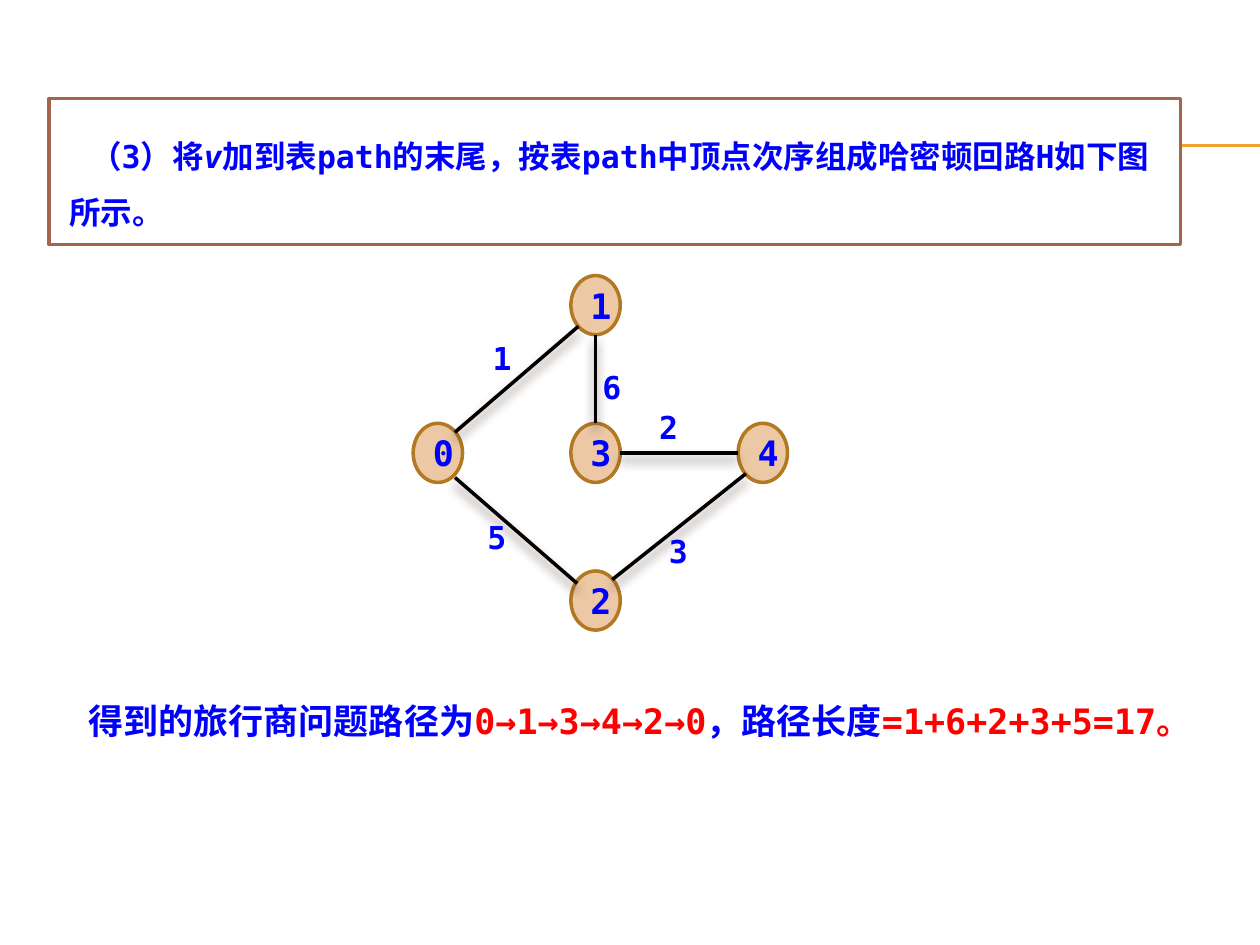
from lxml.etree import SubElement
from pptx import Presentation
from pptx.dml.color import RGBColor
from pptx.enum.shapes import MSO_CONNECTOR, MSO_SHAPE
from pptx.enum.text import MSO_ANCHOR, MSO_AUTO_SIZE, PP_ALIGN
from pptx.oxml.ns import qn
from pptx.util import Pt

BLUE, RED = "0000FF", "FF0000"


def add_run(para, text, size, color=BLUE, italic=False):
    span = para.add_run()
    span.text = text
    font = span.font
    font.name, font.size, font.bold, font.italic = "DejaVu Sans Mono", Pt(size), True, italic
    font.color.rgb = RGBColor.from_string(color)


def add_line(start, end, color, width):
    line = slide.shapes.add_connector(
        MSO_CONNECTOR.STRAIGHT, Pt(start[0]), Pt(start[1]), Pt(end[0]), Pt(end[1]))
    line.line.color.rgb = RGBColor.from_string(color)
    line.line.width = Pt(width)
    return SubElement(line._element.spPr, qn("a:effectLst"))


deck = Presentation()
deck.slide_width, deck.slide_height = Pt(720), Pt(540)
slide = deck.slides.add_slide(deck.slide_layouts[6])

# Rule behind the statement box
for y in (82.8, 83.5):
    add_line((40.3, y), (720, y), "F0A22E", 0.75)

# Statement box
statement = slide.shapes.add_shape(MSO_SHAPE.RECTANGLE, Pt(28), Pt(56.2), Pt(646.6), Pt(83.5))
statement.shadow.inherit = False
statement.fill.solid()
statement.fill.fore_color.rgb = RGBColor.from_string("FFFFFF")
statement.line.color.rgb = RGBColor.from_string("A5644E")
statement.line.width = Pt(2)
frame = statement.text_frame
frame.word_wrap = True
frame.auto_size = MSO_AUTO_SIZE.SHAPE_TO_FIT_TEXT
frame.vertical_anchor = MSO_ANCHOR.TOP
frame.margin_left = frame.margin_top = frame.margin_bottom = Pt(11.5)
frame.margin_right = Pt(14.4)
para = frame.paragraphs[0]
para.alignment = PP_ALIGN.LEFT
para.line_spacing = Pt(32)
para._p.get_or_add_pPr().set("indent", str(Pt(12)))
add_run(para, "（3）将", 18)
add_run(para, "v", 18, italic=True)
add_run(para, "加到表path的末尾，按表path中顶点次序组成哈密顿回路H如下图所示。", 18)

# Graph vertices, by centre
vertices = {"0": (250.2, 258.8), "1": (340.3, 174.4), "3": (340.3, 258.8),
            "2": (340.3, 343.2), "4": (435.9, 258.8)}
node_width, node_height = 28.2, 33.8
for name, (x, y) in vertices.items():
    node = slide.shapes.add_shape(MSO_SHAPE.OVAL, Pt(x - node_width / 2), Pt(y - node_height / 2),
                                  Pt(node_width), Pt(node_height))
    node.shadow.inherit = False
    node.fill.solid()
    node.fill.fore_color.rgb = RGBColor.from_string("ECC8A4")
    node.line.color.rgb = RGBColor.from_string("B27822")
    node.line.width = Pt(2)
    node.text_frame.vertical_anchor = MSO_ANCHOR.MIDDLE
    para = node.text_frame.paragraphs[0]
    para.alignment = PP_ALIGN.CENTER
    add_run(para, name, 20)

# Graph edges: start, end, weight, place of the weight
edges = [
    ((260, 247), (330.5, 186.5), "1", (281.5, 193.7)),
    ((354.4, 258.8), (421.8, 258.8), "2", (376.6, 233.3)),
    ((426.2, 270.7), (349.9, 331.2), "3", (382.3, 303.8)),
    ((260, 272.9), (329.8, 333.4), "5", (278.6, 295.9)),
    ((340.3, 191.5), (340.3, 241.9), "6", (344.2, 210.2)),
]
for start, end, weight, (left, top) in edges:
    effects = add_line(start, end, "000000", 2)
    shadow = SubElement(effects, qn("a:outerShdw"), blurRad=str(Pt(6)), dist=str(Pt(4)),
                        dir="5400000", rotWithShape="0")
    tint = SubElement(shadow, qn("a:srgbClr"), val="4E3B30")
    SubElement(tint, qn("a:alpha"), val="60000")

    label = slide.shapes.add_textbox(Pt(left), Pt(top), Pt(16.6), Pt(25.2))
    frame = label.text_frame
    frame.word_wrap = True
    frame.auto_size = MSO_AUTO_SIZE.SHAPE_TO_FIT_TEXT
    frame.margin_left = frame.margin_top = frame.margin_right = 0
    add_run(frame.paragraphs[0], weight, 18)

# Resulting route and its length
result = slide.shapes.add_textbox(Pt(39.6), Pt(388.1), Pt(652.3), Pt(41))
frame = result.text_frame
frame.word_wrap = True
frame.auto_size = MSO_AUTO_SIZE.SHAPE_TO_FIT_TEXT
frame.margin_bottom = Pt(8.6)
para = frame.paragraphs[0]
para.alignment = PP_ALIGN.CENTER
para.line_spacing = Pt(32)
for text, color in (("得到的旅行商问题路径为", BLUE), ("0→1→3→4→2→0", RED),
                    ("，路径长度", BLUE), ("=1+6+2+3+5=17。", RED)):
    add_run(para, text, 20, color)

deck.save("out.pptx")
